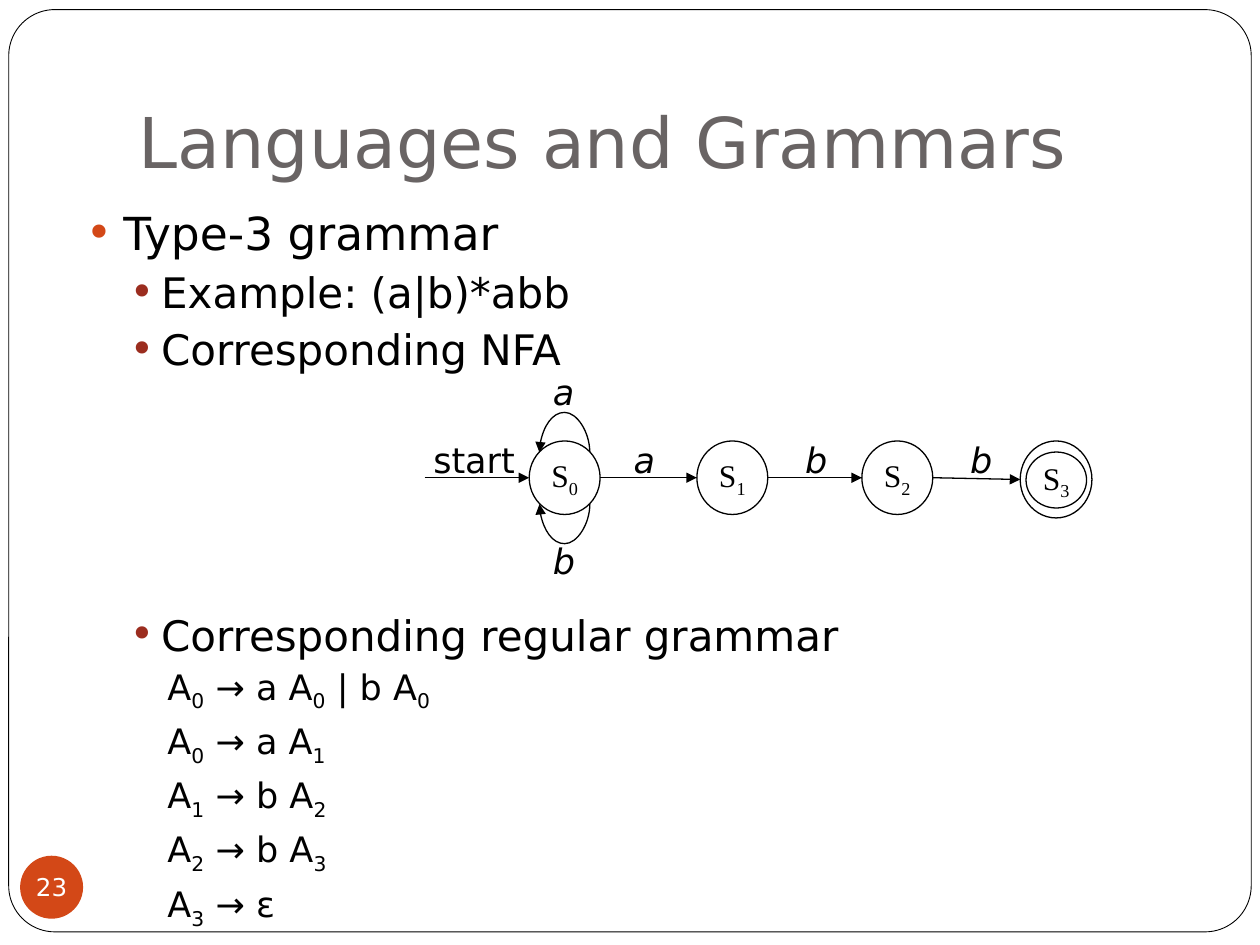
from lxml import etree
from pptx import Presentation
from pptx.dml.color import RGBColor
from pptx.enum import shapes, text
from pptx.oxml import ns
from pptx.util import Pt

SANS, SERIF = "DejaVu Sans", "Times New Roman"
BLACK, WHITE, GREY, ORANGE, RED = "000000", "FFFFFF", "696464", "D34817", "9B2D1F"

TITLE = "Languages and Grammars"
PAGE = "23"
# An underscore makes the next character a subscript.
# text, level, space before
OUTLINE = [
    ("Type-3 grammar", 0, 2),
    ("Example: (a|b)*abb", 1, 3.7),
    ("Corresponding NFA", 1, 3.7),
    ("Corresponding regular grammar", 1, 134.5),
    ("A_0 → a A_0 | b A_0", 2, 3.2),
    ("A_0 → a A_1", 2, 3.7),
    ("A_1 → b A_2", 2, 3.7),
    ("A_2 → b A_3", 2, 3.7),
    ("A_3 → ε", 2, 3.7),
]
# font size, left margin, first-line indent, bullet colour
LEVELS = [(26, 21.6, -21.6, ORANGE), (24, 43.2, -18, RED), (20, 64.8, -18, None)]

# name, left, top, width, height
STATES = [
    ("S_0", 302.4, 252, 40.5, 42),
    ("S_1", 398.2, 252, 40.5, 42),
    ("S_2", 492.5, 252, 40.5, 42),
    ("", 583, 252, 41, 44),
    ("S_3", 586.3, 258.3, 34.6, 32),
]
# start x, start y, end x, end y
ARROWS = [
    (242.6, 273, 302.4, 273),
    (342.9, 273, 398.2, 273),
    (438.7, 273, 492.5, 273),
    (533, 273, 583, 274),
]
# label, left, top, width, italic
LABELS = [
    ("start", 240.5, 247, 62, False),
    ("a", 355, 247, 32.4, True),
    ("b", 453, 247, 32.4, True),
    ("b", 547.2, 247, 32.4, True),
    ("a", 308.9, 208.1, 32.4, True),
    ("b", 308.9, 304.6, 32.4, True),
]
LOOP_X, LOOP_SPAN, LOOP_DEPTH = 322.6, 28.8, 24.1
LOOP_TOP, LOOP_BOTTOM = 258.5, 288
THIN = 0.12  # the curve's own depth, which its adjustment multiplies


def rgb(value):
    return RGBColor.from_string(value)


def add_runs(paragraph, content, size, font, color, italic=False):
    first, *rest = content.split("_")
    pieces = [(first, False)]
    for part in rest:
        pieces += [(part[0], True), (part[1:], False)]
    for piece, lowered in pieces:
        if not piece:
            continue
        run = paragraph.add_run()
        run.text = piece
        run.font.size, run.font.name = Pt(size), font
        run.font.italic = italic
        run.font.color.rgb = rgb(color)
        if lowered:
            run.font._element.set("baseline", "-25000")


def add_outline_shape(slide, preset, box, fill, line_width):
    shape = slide.shapes.add_shape(preset, *map(Pt, box))
    shape.shadow.inherit = False
    shape.fill.solid()
    shape.fill.fore_color.rgb = rgb(fill)
    if line_width:
        shape.line.color.rgb = rgb(BLACK)
        shape.line.width = Pt(line_width)
    else:
        shape.line.fill.background()
    return shape


def add_circle(slide, box, content, size, font, color, fill=WHITE, line_width=0.75):
    circle = add_outline_shape(slide, shapes.MSO_SHAPE.OVAL, box, fill, line_width)
    if content:
        frame = circle.text_frame
        frame.margin_left = frame.margin_right = frame.margin_top = frame.margin_bottom = 0
        frame.word_wrap = False
        frame.vertical_anchor = text.MSO_ANCHOR.MIDDLE
        frame.paragraphs[0].alignment = text.PP_ALIGN.CENTER
        add_runs(frame.paragraphs[0], content, size, font, color)


def add_arrow(slide, kind, ends):
    arrow = slide.shapes.add_connector(kind, *map(Pt, ends))
    arrow.line.color.rgb = rgb(BLACK)
    arrow.line.width = Pt(0.75)
    etree.SubElement(arrow.line._get_or_add_ln(), ns.qn("a:tailEnd"), type="triangle")
    etree.SubElement(arrow._element.spPr, ns.qn("a:effectLst"))
    return arrow


def add_loop(slide, y, upward):
    """Draw a self-transition that leaves a state on the right and returns on the left."""
    low, high = y - LOOP_SPAN / 2, y + LOOP_SPAN / 2
    ends = (LOOP_X, low, LOOP_X + THIN, high)
    if upward:
        ends = ends[2:] + ends[:2]
    loop = add_arrow(slide, shapes.MSO_CONNECTOR.CURVE, ends)
    properties = loop._element.spPr
    properties.find(ns.qn("a:xfrm")).set("rot", "16200000" if upward else "5400000")
    guides = properties.find(ns.qn("a:prstGeom")).find(ns.qn("a:avLst"))
    ratio = round(LOOP_DEPTH / THIN * 100000) * (-1 if upward else 1)
    etree.SubElement(guides, ns.qn("a:gd"), name="adj1", fmla=f"val {ratio}")


def add_bullet(paragraph, color):
    properties = paragraph._p.get_or_add_pPr()
    bullet_color = etree.SubElement(properties, ns.qn("a:buClr"))
    etree.SubElement(bullet_color, ns.qn("a:srgbClr"), val=color)
    etree.SubElement(properties, ns.qn("a:buSzPct"), val="100000")
    etree.SubElement(properties, ns.qn("a:buFont"), typeface=SANS)
    etree.SubElement(properties, ns.qn("a:buChar"), char="•")


def add_title(slide):
    title = slide.shapes.title
    title.left, title.top, title.width, title.height = map(Pt, (72, 21.6, 612, 90))
    frame = title.text_frame
    frame.vertical_anchor = text.MSO_ANCHOR.BOTTOM
    frame.margin_bottom = Pt(7.2)
    frame.paragraphs[0].alignment = text.PP_ALIGN.LEFT
    add_runs(frame.paragraphs[0], TITLE, 40, SANS, GREY)


def add_outline(slide):
    frame = slide.shapes.add_textbox(*map(Pt, (41.8, 113.8, 642.2, 414))).text_frame
    frame.word_wrap = True
    for i, (content, level, before) in enumerate(OUTLINE):
        size, margin, indent, bullet = LEVELS[level]
        paragraph = frame.add_paragraph() if i else frame.paragraphs[0]
        paragraph.level = level
        paragraph.space_before = Pt(before)
        properties = paragraph._p.get_or_add_pPr()
        properties.set("marL", str(Pt(margin)))
        properties.set("indent", str(Pt(indent)))
        if bullet:
            add_bullet(paragraph, bullet)
        add_runs(paragraph, content, size, SANS, BLACK)


def add_automaton(slide):
    for name, *box in STATES:
        add_circle(slide, box, name, 18, SERIF, BLACK)
    for ends in ARROWS:
        add_arrow(slide, shapes.MSO_CONNECTOR.STRAIGHT, ends)
    add_loop(slide, LOOP_TOP, upward=True)
    add_loop(slide, LOOP_BOTTOM, upward=False)
    for label, left, top, width, italic in LABELS:
        frame = slide.shapes.add_textbox(*map(Pt, (left, top, width, 31.5))).text_frame
        frame.word_wrap = False
        frame.auto_size = text.MSO_AUTO_SIZE.SHAPE_TO_FIT_TEXT
        add_runs(frame.paragraphs[0], label, 20, SANS, BLACK, italic)


def main():
    deck = Presentation()
    deck.slide_width, deck.slide_height = Pt(720), Pt(540)
    slide = deck.slides.add_slide(deck.slide_layouts[5])
    border = add_outline_shape(
        slide, shapes.MSO_SHAPE.ROUNDED_RECTANGLE, (5, 5.5, 710, 527), WHITE, 0.5)
    border.adjustments[0] = 0.05
    border._element.getparent().insert(2, border._element)  # behind the title
    add_title(slide)
    add_outline(slide)
    add_automaton(slide)
    add_circle(slide, (11.5, 489, 36, 36), PAGE, 14, SANS, WHITE, ORANGE, None)
    deck.save("out.pptx")


if __name__ == "__main__":
    main()
